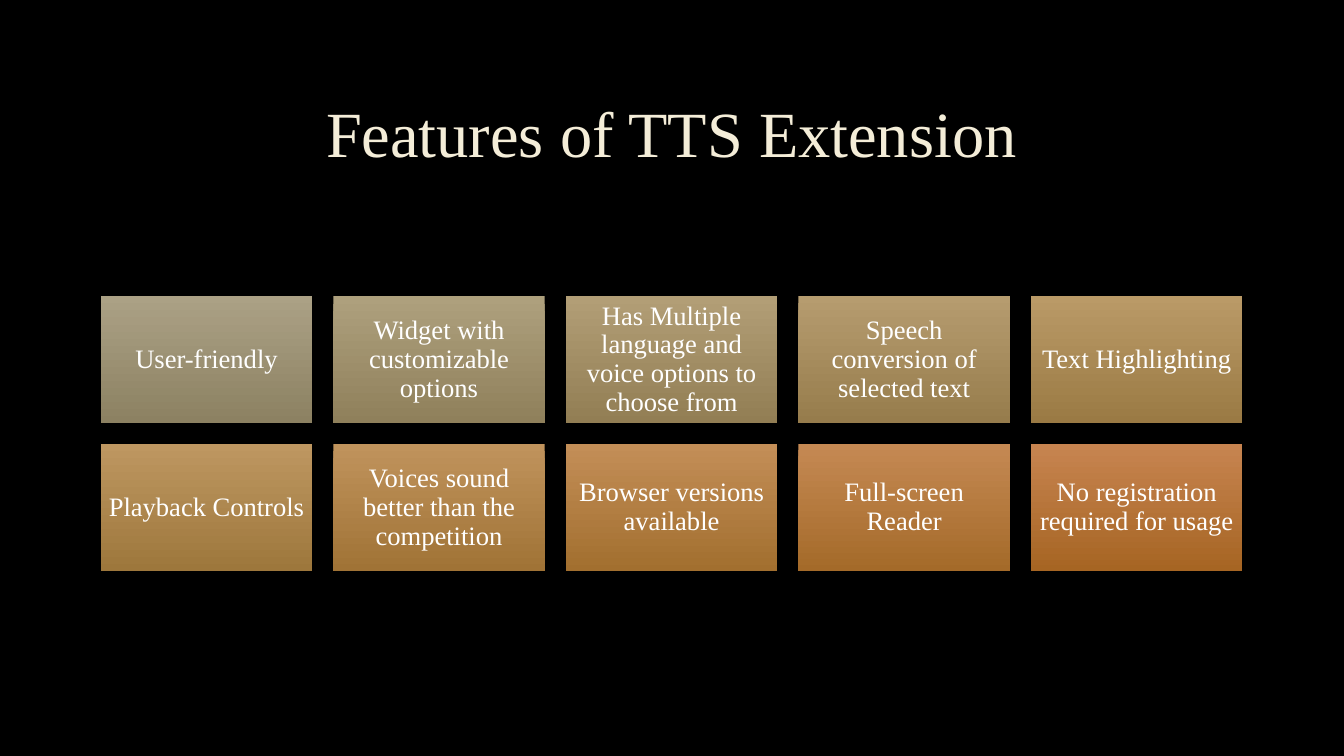
from dataclasses import dataclass

from pptx import Presentation
from pptx.dml.color import RGBColor
from pptx.enum.shapes import MSO_SHAPE
from pptx.enum.text import MSO_ANCHOR, PP_ALIGN
from pptx.slide import Slide
from pptx.text.text import TextFrame
from pptx.util import Pt

RECTANGLE = MSO_SHAPE.RECTANGLE
MIDDLE = MSO_ANCHOR.MIDDLE
CENTER = PP_ALIGN.CENTER

BLACK = RGBColor(0x00, 0x00, 0x00)
CREAM = RGBColor(0xF4, 0xED, 0xD8)
WHITE = RGBColor(0xFF, 0xFF, 0xFF)

FONT_NAME = "Times New Roman"
TITLE_SIZE = 46
FEATURE_SIZE = 19

COLUMNS = 5
GRID_LEFT = 72
GRID_TOP = 211.7
TILE_WIDTH = 151
TILE_HEIGHT = 90.6
GAP = 15.1
TILE_INSET = 5.7


@dataclass(frozen=True)
class Feature:
    text: str
    top_color: RGBColor
    bottom_color: RGBColor


FEATURES = [
    Feature("User-friendly", RGBColor(0xAB, 0xA1, 0x85), RGBColor(0x8C, 0x81, 0x62)),
    Feature("Widget with customizable options", RGBColor(0xAE, 0xA0, 0x7D), RGBColor(0x8F, 0x80, 0x5B)),
    Feature(
        "Has Multiple language and voice options to choose from",
        RGBColor(0xB2, 0x9E, 0x76),
        RGBColor(0x92, 0x7E, 0x54),
    ),
    Feature("Speech conversion of selected text", RGBColor(0xB6, 0x9C, 0x6F), RGBColor(0x96, 0x7C, 0x4C)),
    Feature("Text Highlighting", RGBColor(0xBA, 0x9A, 0x67), RGBColor(0x9A, 0x7A, 0x44)),
    Feature("Playback Controls", RGBColor(0xBE, 0x97, 0x61), RGBColor(0x9D, 0x77, 0x3C)),
    Feature("Voices sound better than the competition", RGBColor(0xC0, 0x93, 0x5C), RGBColor(0xA0, 0x73, 0x36)),
    Feature("Browser versions available", RGBColor(0xC3, 0x8E, 0x57), RGBColor(0xA2, 0x6F, 0x2F)),
    Feature("Full-screen Reader", RGBColor(0xC5, 0x89, 0x53), RGBColor(0xA4, 0x6A, 0x29)),
    Feature("No registration required for usage", RGBColor(0xC7, 0x84, 0x50), RGBColor(0xA6, 0x65, 0x23)),
]


def write_centered(text_frame: TextFrame, text: str, size: float, color: RGBColor) -> None:
    text_frame.text = text
    text_frame.word_wrap = True
    text_frame.vertical_anchor = MIDDLE
    paragraph = text_frame.paragraphs[0]
    paragraph.alignment = CENTER
    paragraph.line_spacing = 0.9
    font = paragraph.runs[0].font
    font.name = FONT_NAME
    font.size = Pt(size)
    font.color.rgb = color


def add_title(slide: Slide, text: str) -> None:
    title = slide.shapes.add_textbox(Pt(72), Pt(48), Pt(815), Pt(99.4))
    write_centered(title.text_frame, text, TITLE_SIZE, CREAM)


def add_feature(slide: Slide, feature: Feature, row: int, column: int) -> None:
    left = GRID_LEFT + column * (TILE_WIDTH + GAP)
    top = GRID_TOP + row * (TILE_HEIGHT + GAP)
    tile = slide.shapes.add_shape(RECTANGLE, Pt(left), Pt(top), Pt(TILE_WIDTH), Pt(TILE_HEIGHT))
    tile.shadow.inherit = False
    tile.line.fill.background()
    tile.fill.gradient()
    tile.fill.gradient_angle = 270
    for stop, color in zip(tile.fill.gradient_stops, (feature.top_color, feature.bottom_color)):
        stop.color.rgb = color
    text_frame = tile.text_frame
    text_frame.margin_left = text_frame.margin_right = Pt(TILE_INSET)
    text_frame.margin_top = text_frame.margin_bottom = Pt(TILE_INSET)
    write_centered(text_frame, feature.text, FEATURE_SIZE, WHITE)


def main() -> None:
    presentation = Presentation()
    presentation.slide_width = Pt(960)
    presentation.slide_height = Pt(540)
    slide = presentation.slides.add_slide(presentation.slide_layouts[6])
    slide.background.fill.solid()
    slide.background.fill.fore_color.rgb = BLACK
    add_title(slide, "Features of TTS Extension")
    for index, feature in enumerate(FEATURES):
        row, column = divmod(index, COLUMNS)
        add_feature(slide, feature, row, column)
    presentation.save("out.pptx")


if __name__ == "__main__":
    main()
